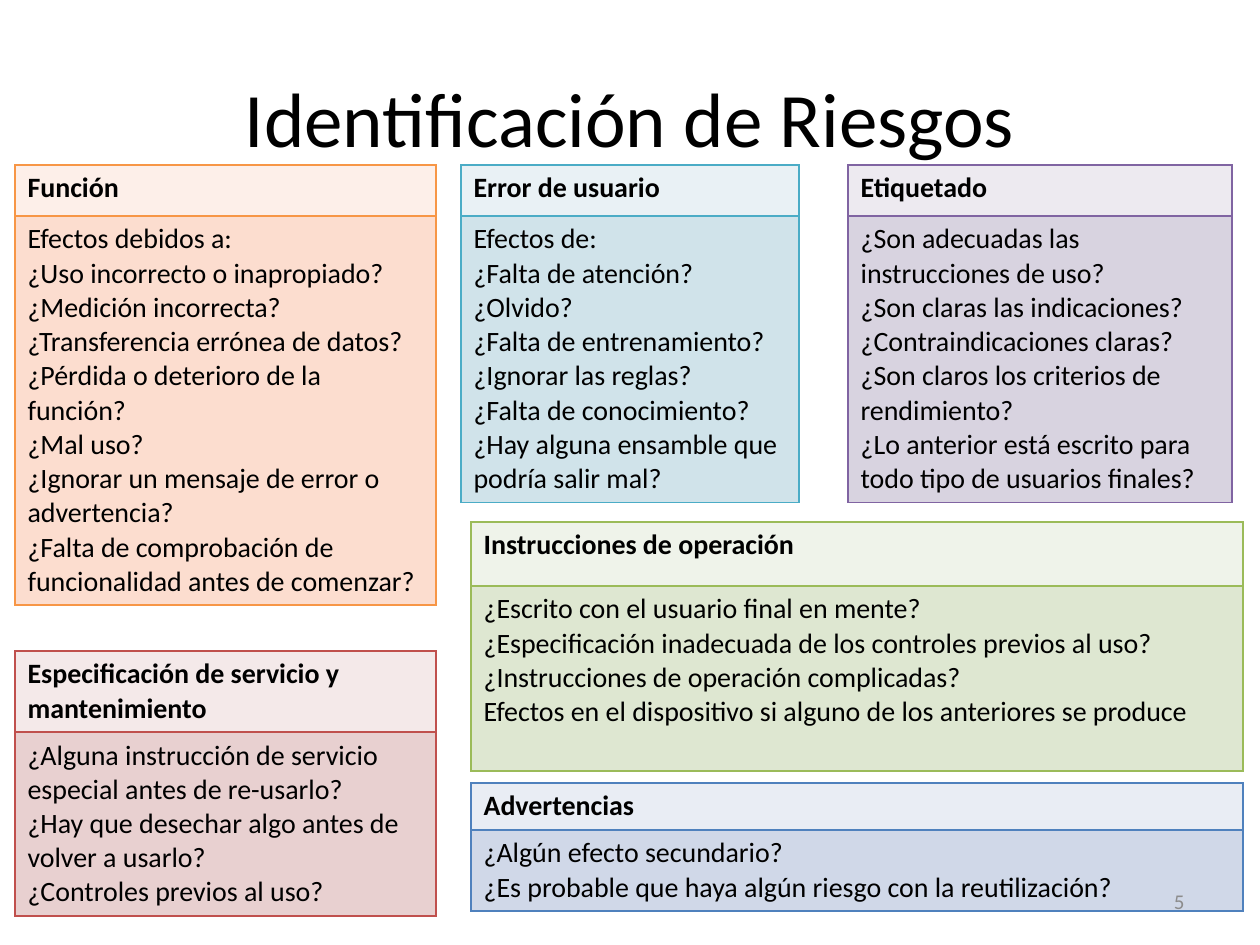
from lxml import etree
from pptx import Presentation
from pptx.dml.color import RGBColor
from pptx.enum.text import MSO_ANCHOR, PP_ALIGN
from pptx.oxml.ns import qn
from pptx.util import Emu, Pt

LEFT, CENTER, RIGHT = PP_ALIGN.LEFT, PP_ALIGN.CENTER, PP_ALIGN.RIGHT
MIDDLE = MSO_ANCHOR.MIDDLE
PX_PER_INCH = 126
FONT = "Calibri"
BLACK = RGBColor(0x00, 0x00, 0x00)
GRAY = RGBColor(0x8C, 0x8C, 0x8C)

# Each palette: border, heading fill, body fill
ORANGE = (RGBColor(0xF7, 0x96, 0x46), RGBColor(0xFD, 0xEF, 0xE9), RGBColor(0xFC, 0xDD, 0xCF))
AQUA = (RGBColor(0x4B, 0xAC, 0xC6), RGBColor(0xE9, 0xF1, 0xF5), RGBColor(0xD0, 0xE3, 0xEA))
PURPLE = (RGBColor(0x80, 0x64, 0xA2), RGBColor(0xED, 0xEA, 0xF0), RGBColor(0xD8, 0xD3, 0xE0))
GREEN = (RGBColor(0x9B, 0xBB, 0x59), RGBColor(0xEF, 0xF3, 0xEA), RGBColor(0xDE, 0xE7, 0xD1))
BLUE = (RGBColor(0x4F, 0x81, 0xBD), RGBColor(0xE9, 0xED, 0xF4), RGBColor(0xD0, 0xD8, 0xE8))
RED = (RGBColor(0xC0, 0x50, 0x4D), RGBColor(0xF4, 0xE9, 0xE9), RGBColor(0xE8, 0xD0, 0xD0))

# Risk cards: box (left, top, width, height), heading height, palette, heading, lines
RISK_CARDS = [
    ((15, 165, 421, 440), 51, ORANGE, "Función", [
        "Efectos debidos a:",
        "¿Uso incorrecto o inapropiado?",
        "¿Medición incorrecta?",
        "¿Transferencia errónea de datos?",
        "¿Pérdida o deterioro de la función?",
        "¿Mal uso?",
        "¿Ignorar un mensaje de error o advertencia?",
        "¿Falta de comprobación de funcionalidad antes de comenzar?",
    ]),
    ((461, 165, 338, 337), 51, AQUA, "Error de usuario", [
        "Efectos de:",
        "¿Falta de atención?",
        "¿Olvido?",
        "¿Falta de entrenamiento?",
        "¿Ignorar las reglas?",
        "¿Falta de conocimiento?",
        "¿Hay alguna ensamble que podría salir mal?",
    ]),
    ((848, 165, 384, 337), 51, PURPLE, "Etiquetado", [
        "¿Son adecuadas las instrucciones de uso?",
        "¿Son claras las indicaciones?",
        "¿Contraindicaciones claras?",
        "¿Son claros los criterios de rendimiento?",
        "¿Lo anterior está escrito para todo tipo de usuarios finales?",
    ]),
    ((471, 522, 772, 249), 64, GREEN, "Instrucciones de operación", [
        "¿Escrito con el usuario final en mente?",
        "¿Especificación inadecuada de los controles previos al uso?",
        "¿Instrucciones de operación complicadas?",
        "Efectos en el dispositivo si alguno de los anteriores se produce",
    ]),
    ((471, 783, 772, 128), 47, BLUE, "Advertencias", [
        "¿Algún efecto secundario?",
        "¿Es probable que haya algún riesgo con la reutilización?",
    ]),
    ((15, 651, 421, 265), 81, RED, "Especificación de servicio y mantenimiento", [
        "¿Alguna instrucción de servicio especial antes de re-usarlo?",
        "¿Hay que desechar algo antes de volver a usarlo?",
        "¿Controles previos al uso?",
    ]),
]


def px(length):
    return Emu(round(length * 914400 / PX_PER_INCH))


def write_text(frame, lines, size=16, color=BLACK, bold=False, align=LEFT):
    for index, line in enumerate(lines):
        paragraph = frame.paragraphs[0] if index == 0 else frame.add_paragraph()
        paragraph.alignment = align
        run = paragraph.add_run()
        run.text = line
        run.font.name = FONT
        run.font.size = Pt(size)
        run.font.bold = bold
        run.font.color.rgb = color


def add_borders(cell, color):
    properties = cell._tc.get_or_add_tcPr()
    for side in ("a:lnL", "a:lnR", "a:lnT", "a:lnB"):
        border = etree.SubElement(properties, qn(side), w=str(Pt(1)))
        fill = etree.SubElement(border, qn("a:solidFill"))
        etree.SubElement(fill, qn("a:srgbClr"), val=str(color))


def add_title(slide, box, text):
    title = slide.shapes.title
    title.left, title.top, title.width, title.height = map(px, box)
    title.text_frame.vertical_anchor = MIDDLE
    write_text(title.text_frame, [text], size=44, align=CENTER)


def add_risk_card(slide, box, heading_height, palette, heading, lines):
    border, heading_fill, body_fill = palette
    card = slide.shapes.add_table(2, 1, *map(px, box)).table
    card.first_row = card.horz_banding = False
    rows = [
        (heading_height, heading_fill, [heading], True),
        (box[3] - heading_height, body_fill, lines, False),
    ]
    for index, (height, fill, content, bold) in enumerate(rows):
        card.rows[index].height = px(height)
        cell = card.cell(index, 0)
        add_borders(cell, border)
        cell.fill.solid()
        cell.fill.fore_color.rgb = fill
        write_text(cell.text_frame, content, bold=bold)


def add_page_number(slide, box, number):
    frame = slide.shapes.add_textbox(*map(px, box)).text_frame
    frame.word_wrap = True
    frame.vertical_anchor = MIDDLE
    write_text(frame, [number], size=12, color=GRAY, align=RIGHT)


def main():
    deck = Presentation()
    deck.slide_width, deck.slide_height = px(1260), px(945)
    slide = deck.slides.add_slide(deck.slide_layouts[5])

    add_title(slide, (63, 38, 1134, 157), "Identificación de Riesgos")
    for card in RISK_CARDS:
        add_risk_card(slide, *card)
    add_page_number(slide, (903, 876, 294, 50), "5")

    deck.save("out.pptx")


if __name__ == "__main__":
    main()
